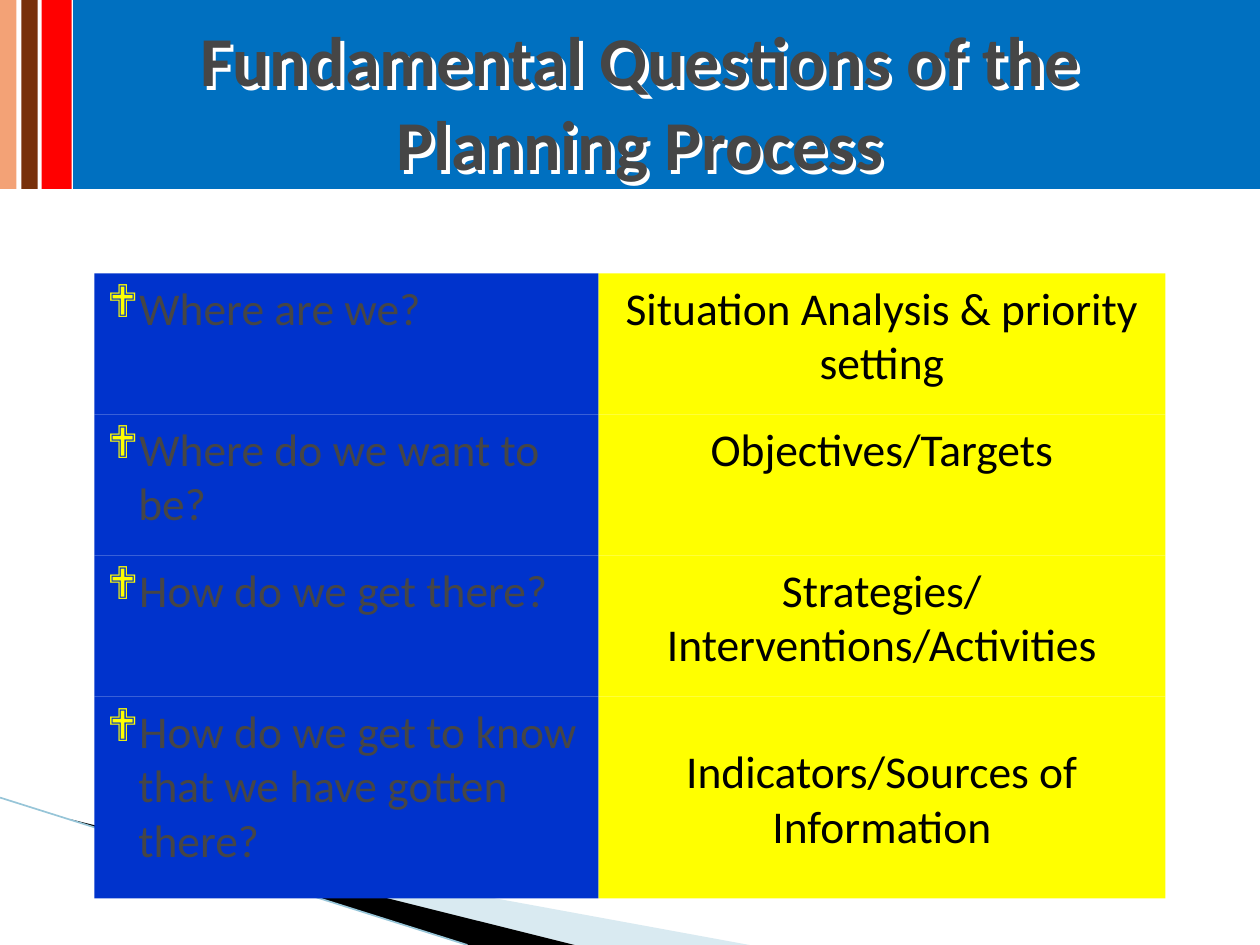
from lxml.etree import SubElement
from pptx import Presentation
from pptx.dml.color import RGBColor
from pptx.enum.shapes import MSO_CONNECTOR, MSO_SHAPE
from pptx.enum.text import MSO_ANCHOR, PP_ALIGN
from pptx.oxml.ns import qn
from pptx.util import Inches, Pt

WHITE = RGBColor(0xFF, 0xFF, 0xFF)
BLACK = RGBColor(0, 0, 0)
GREY = RGBColor(0x46, 0x46, 0x46)
YELLOW = RGBColor(0xFF, 0xFF, 0)
BLUE = RGBColor(0, 0x33, 0xCC)
HEADER_BLUE = RGBColor(0, 0x70, 0xC0)
RED = RGBColor(0xFF, 0, 0)
BROWN = RGBColor(0x78, 0x31, 0x0B)
PEACH = RGBColor(0xF3, 0xA2, 0x76)
PALE_BLUE = RGBColor(0xA0, 0xCB, 0xDC)
LINE_BLUE = RGBColor(0x97, 0xC5, 0xD8)

WIDTH, HEIGHT = 10, 7.5
FONT = "Calibri"
COLUMN_SHARES = (8 / 17, 9 / 17)
ROW_HEIGHTS = (1.12, 1.12, 1.12, 1.6)
QUESTIONS = (
    ("Where are we?", "Situation Analysis & priority setting"),
    ("Where do we want to be?", "Objectives/Targets"),
    ("How do we get there?", "Strategies/ Interventions/Activities"),
    ("How do we get to know that we have gotten there?",
     "Indicators/Sources of Information"),
)


def add_rectangle(page, left, top, width, height, color):
    box = page.shapes.add_shape(
        MSO_SHAPE.RECTANGLE, *map(Inches, (left, top, width, height)))
    box.shadow.inherit = False
    box.fill.solid()
    box.fill.fore_color.rgb = color
    box.line.fill.background()
    return box


def add_bullet(para, indent, color, symbol="❖"):
    properties = para._p.get_or_add_pPr()
    properties.set("marL", str(Inches(indent)))
    properties.set("indent", str(-Inches(indent)))
    bullet_color = SubElement(properties, qn("a:buClr"))
    SubElement(bullet_color, qn("a:srgbClr"), val=str(color))
    SubElement(properties, qn("a:buFont"), typeface="Wingdings")
    SubElement(properties, qn("a:buChar"), char=symbol)


def write_text(box, text, size=26, color=BLACK, bold=False,
               align=PP_ALIGN.CENTER, anchor=MSO_ANCHOR.TOP, bullet_indent=None):
    frame = box.text_frame
    frame.word_wrap = True
    frame.vertical_anchor = anchor
    para = frame.paragraphs[0]
    para.alignment = align
    if bullet_indent is not None:
        add_bullet(para, bullet_indent, YELLOW)
    span = para.add_run()
    span.text = text
    span.font.name = FONT
    span.font.size = Pt(size)
    span.font.bold = bold
    span.font.color.rgb = color


def add_wedge(page, points, color, opacity=None):
    builder = page.shapes.build_freeform(
        *map(Inches, points[0]), scale=1.0)
    builder.add_line_segments([tuple(map(Inches, point)) for point in points[1:]])
    wedge = builder.convert_to_shape()
    wedge.shadow.inherit = False
    wedge.fill.solid()
    wedge.fill.fore_color.rgb = color
    wedge.line.fill.background()
    if opacity is not None:
        tint = wedge._element.spPr.find(".//" + qn("a:srgbClr"))
        SubElement(tint, qn("a:alpha"), val=str(opacity * 1000))


def add_corner(page, left, top, bottom):
    """Sweeping wedges and a thin line in the lower left corner."""
    start = left + 0.55
    add_wedge(page, [(start, top + 0.18), (left + 5.95, bottom),
                     (left + 4.56, bottom)], PALE_BLUE, opacity=40)
    add_wedge(page, [(start, top + 0.17), (left + 4.56, bottom),
                     (left + 3.71, bottom)], BLACK)
    edge = page.shapes.add_connector(
        MSO_CONNECTOR.STRAIGHT,
        *map(Inches, (left, top, left + 3.71, bottom)))
    edge.line.color.rgb = LINE_BLUE
    edge.line.width = Pt(0.95)
    SubElement(edge._element.spPr, qn("a:effectLst"))


def add_questions(page, left, top, width):
    """Two columns: each question beside the planning step that answers it."""
    question_width, answer_width = (share * width for share in COLUMN_SHARES)
    for row, (question, answer) in enumerate(QUESTIONS):
        height = ROW_HEIGHTS[row]
        answer_box = add_rectangle(
            page, left + question_width, top, answer_width, height, YELLOW)
        write_text(answer_box, answer)
        if row == len(QUESTIONS) - 1:
            answer_box.text_frame.margin_top = Inches(0.37)
        question_box = add_rectangle(
            page, left, top, question_width, height, BLUE)
        write_text(question_box, question, color=GREY, align=PP_ALIGN.LEFT,
                   bullet_indent=0.25 if row else 0)
        top += height


def add_header(page, left, top, width, height):
    """Colour bands across the top with the title over them."""
    bands = ((0.58, width - 0.58, HEADER_BLUE), (0.33, 0.24, RED),
             (0.17, 0.13, BROWN), (0, 0.13, PEACH))
    for offset, band_width, color in bands:
        add_rectangle(page, left + offset, top, band_width, height, color)
    title = page.shapes.add_textbox(
        *map(Inches, (left + 0.83, top, 0.85 * width, height + 0.1)))
    write_text(title, "Fundamental Questions of the Planning Process", size=40,
               color=GREY, bold=True, anchor=MSO_ANCHOR.MIDDLE)
    # White shadow falling to the lower right of the letters
    effects = SubElement(title._element.spPr, qn("a:effectLst"))
    shadow = SubElement(effects, qn("a:outerShdw"), dist=str(Inches(0.04)),
                        dir="2700000", algn="tl", rotWithShape="0")
    SubElement(shadow, qn("a:srgbClr"), val=str(WHITE))


def main():
    deck = Presentation()
    deck.slide_width, deck.slide_height = Inches(WIDTH), Inches(HEIGHT)
    page = deck.slides.add_slide(deck.slide_layouts[6])
    page.background.fill.solid()
    page.background.fill.fore_color.rgb = WHITE
    add_corner(page, 0, 6.33, HEIGHT)
    add_questions(page, 0.75, 2.17, 0.85 * WIDTH)
    add_header(page, 0, 0, WIDTH, 0.2 * HEIGHT)
    deck.save("out.pptx")


if __name__ == "__main__":
    main()
